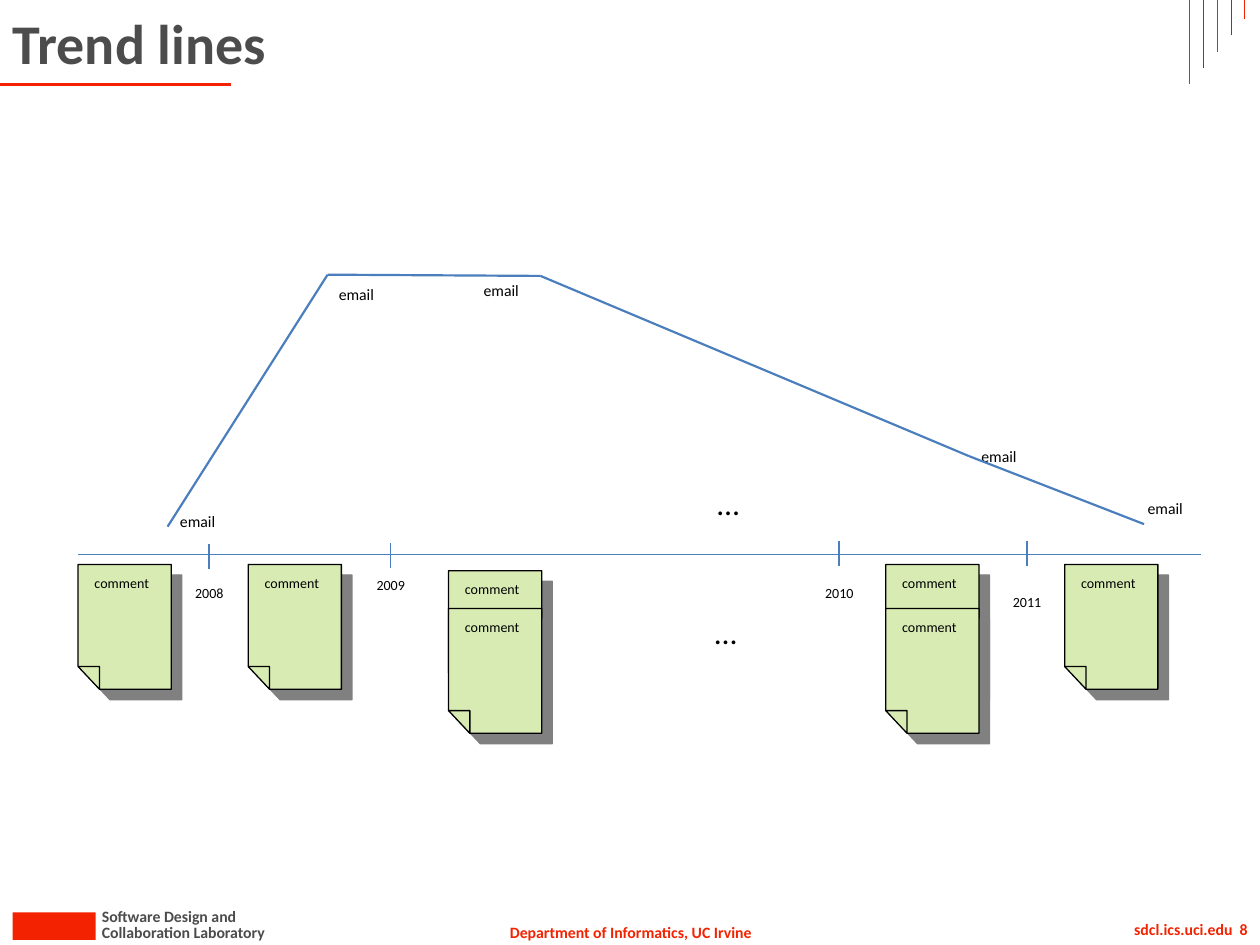
"""Build the Trend lines slide: a comment timeline under an email trend."""
from lxml import etree
from pptx import Presentation
from pptx.dml.color import RGBColor
from pptx.enum.shapes import MSO_CONNECTOR, MSO_SHAPE
from pptx.enum.text import MSO_ANCHOR, PP_ALIGN
from pptx.oxml import parse_xml
from pptx.oxml.ns import nsdecls, qn
from pptx.util import Inches, Pt

RED = RGBColor(0xF3, 0x22, 0x00)
GRAY = RGBColor(0x4C, 0x4C, 0x4C)
BLUE = RGBColor(0x4B, 0x7E, 0xBC)
GREEN = RGBColor(0xD8, 0xEB, 0xB3)
BLACK = RGBColor(0, 0, 0)
FONT = "Calibri"

deck = Presentation()
deck.slide_width, deck.slide_height = Inches(10), Inches(7.5)
page = deck.slides.add_slide(deck.slide_layouts[5])
shapes = page.shapes


def add_label(text, left, top, width, height, size, color=BLACK,
              bold=False, align=PP_ALIGN.LEFT, wrap=False):
    box = shapes.add_textbox(Inches(left), Inches(top), Inches(width), Inches(height))
    box.text_frame.word_wrap = wrap
    para = box.text_frame.paragraphs[0]
    para.text = text
    para.alignment = align
    font = para.runs[0].font
    font.name, font.size, font.bold = FONT, Pt(size), bold
    font.color.rgb = color


def add_rule(start, end, color, width):
    rule = shapes.add_connector(MSO_CONNECTOR.STRAIGHT, *map(Inches, start + end))
    rule.line.color.rgb = color
    rule.line.width = Pt(width)
    etree.SubElement(rule._element.spPr, qn("a:effectLst"))


title = shapes.title
title.left, title.top = Inches(0), Inches(0)
title.width, title.height = Inches(9), Inches(0.67)
title.text_frame.text = "Trend lines"
title.text_frame.vertical_anchor = MSO_ANCHOR.MIDDLE
para = title.text_frame.paragraphs[0]
para.alignment = PP_ALIGN.LEFT
font = para.runs[0].font
font.name, font.size, font.bold = FONT, Pt(32), True
font.color.rgb = GRAY

add_label("Department of Informatics, UC Irvine", 3.93, 7.27, 2.15, 0.25, 9, RED,
          True, PP_ALIGN.CENTER)
add_label("Collaboration Laboratory", 0.71, 7.27, 1.53, 0.25, 9, GRAY, True)
add_label("Software Design and", 0.71, 7.15, 1.29, 0.25, 9, GRAY, True)
add_label("sdcl.ics.uci.edu  8", 7.84, 7.25, 2.16, 0.25, 9, RED, True,
          PP_ALIGN.RIGHT, True)

footer_block = shapes.add_shape(MSO_SHAPE.RECTANGLE, Inches(0.1), Inches(7.24),
                                Inches(0.66), Inches(0.22))
footer_block.shadow.inherit = False
footer_block.fill.solid()
footer_block.fill.fore_color.rgb = RED
footer_block.line.fill.background()

add_rule((0, 0.67), (1.83, 0.67), RED, 1.5)
for index in range(5):
    x = 9.44 + 0.11 * index
    add_rule((x, 0.67 - 0.13 * index), (x, 0), GRAY if index % 2 else RED, 0.5)

add_rule((0.62, 4.4), (9.53, 4.4), BLUE, 0.75)
for year, x, tick_top, label_top in (
    ("2008", 1.66, 4.32, 4.59),
    ("2009", 3.1, 4.31, 4.53),
    ("2010", 6.66, 4.29, 4.59),
    ("2011", 8.15, 4.29, 4.66),
):
    add_rule((x, tick_top), (x, tick_top + 0.2), BLUE, 0.75)
    add_label(year, x - 0.21, label_top, 0.43, 0.24, 8)

for left, top in ((4.3, 4.82), (4.32, 3.79)):
    add_label("…", left, top, 2.92, 0.4, 18, align=PP_ALIGN.CENTER, wrap=True)

NOTE_OUTLINE = ((0.17, 0.99), (0, 0.81), (0.17, 0.81), (0.17, 0.99), (0.17, 0.81),
                (0, 0.81), (0, 0), (0.74, 0), (0.74, 0.99))
for left, top in ((0.62, 4.48), (1.97, 4.48), (7.03, 4.48), (8.45, 4.48),
                  (3.56, 4.53), (3.56, 4.83), (7.03, 4.83)):
    corners = [(Inches(left + x), Inches(top + y)) for x, y in NOTE_OUTLINE]
    outline = shapes.build_freeform(*corners[0])
    outline.add_line_segments(corners[1:], close=True)
    note = outline.convert_to_shape()
    note.fill.solid()
    note.fill.fore_color.rgb = GREEN
    note.line.color.rgb = BLACK
    note.line.width = Pt(0.75)
    note.shadow.inherit = False
    note._element.spPr.find(qn("a:effectLst")).append(parse_xml(
        f'<a:outerShdw {nsdecls("a")} blurRad="0" dist="{Pt(8.5)}" dir="2700000" '
        'algn="ctr" rotWithShape="0"><a:srgbClr val="808080"/></a:outerShdw>'))
    frame = note.text_frame
    frame.word_wrap = True
    frame.vertical_anchor = MSO_ANCHOR.TOP
    frame.margin_left, frame.margin_top = Inches(0.13), Inches(0.08)
    frame.margin_right = Inches(0.05)
    frame.text = "comment"
    para = frame.paragraphs[0]
    para.alignment = PP_ALIGN.LEFT
    font = para.runs[0].font
    font.name, font.size = FONT, Pt(8)
    font.color.rgb = BLACK

for left, top in ((1.33, 4.01), (2.59, 2.21), (3.74, 2.18), (7.69, 3.5), (9.01, 3.91)):
    add_label("email", left, top, 0.49, 0.25, 9)

trend = ((1.33, 4.18), (2.6, 2.18), (4.29, 2.19), (7.69, 3.62), (9.08, 4.16))
for start, end in zip(trend, trend[1:]):
    add_rule(start, end, BLUE, 1.25)

deck.save("out.pptx")
